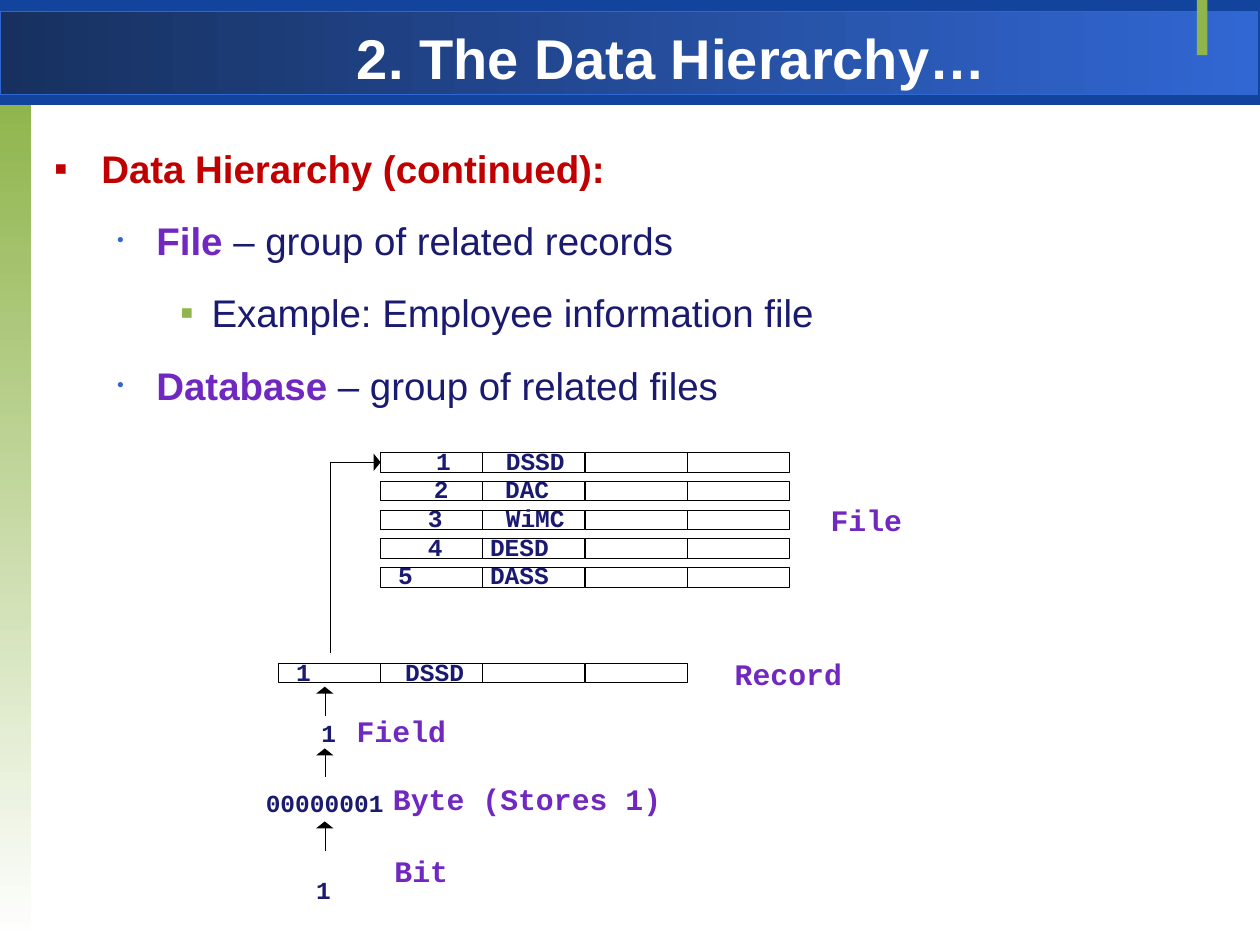
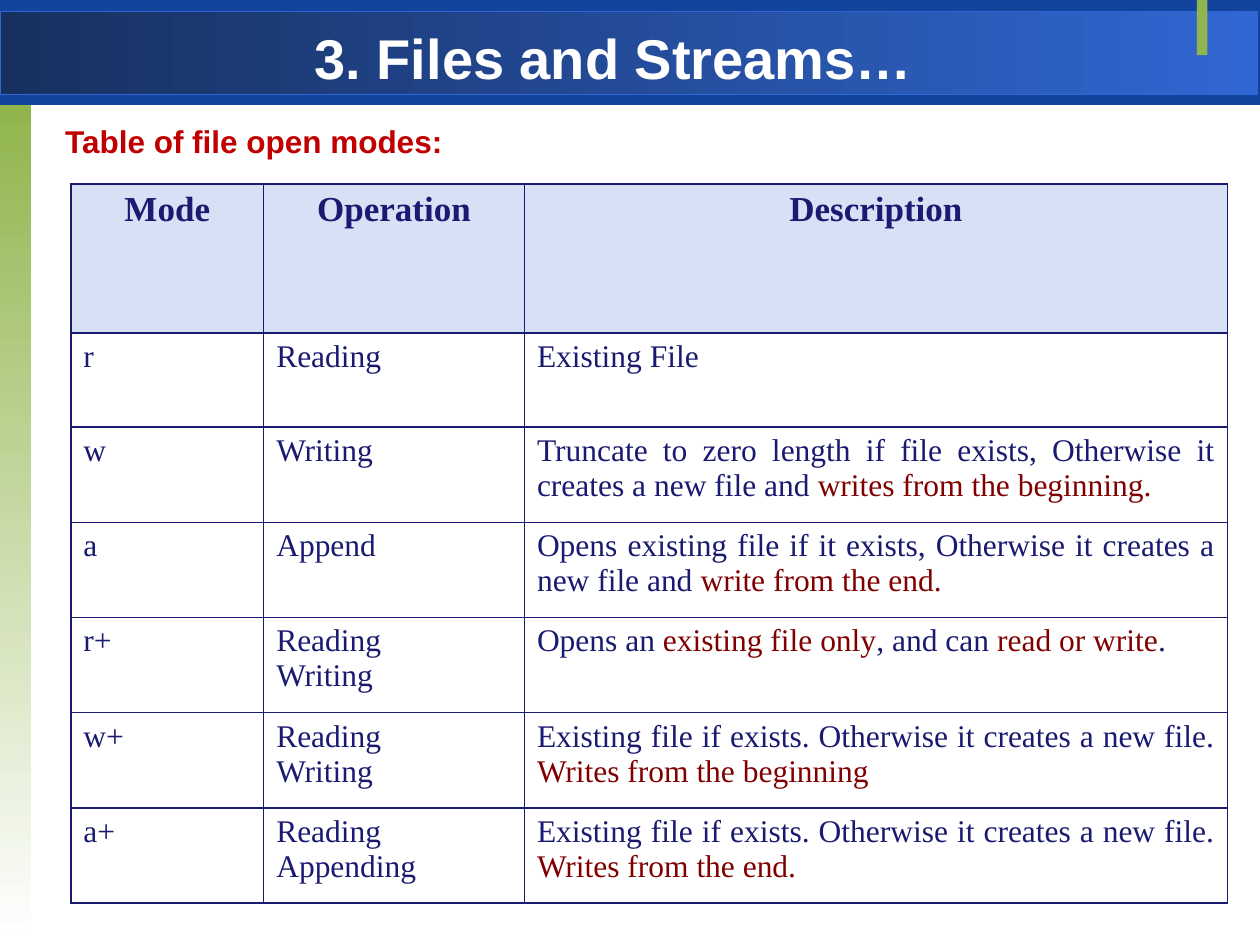
"""Build two lecture slides: the data hierarchy diagram and the file open modes table."""
from dataclasses import dataclass, replace
from typing import Any, NamedTuple

from lxml import etree
from pptx import Presentation
from pptx.dml.color import RGBColor
from pptx.enum.shapes import MSO_CONNECTOR, MSO_SHAPE
from pptx.enum.text import MSO_ANCHOR, PP_ALIGN
from pptx.oxml.ns import qn
from pptx.util import Pt

RECT, STRAIGHT = MSO_SHAPE.RECTANGLE, MSO_CONNECTOR.STRAIGHT
LEFT, CENTER, JUSTIFY = PP_ALIGN.LEFT, PP_ALIGN.CENTER, PP_ALIGN.JUSTIFY
TOP = MSO_ANCHOR.TOP
NAVY, PURPLE, RED, MAROON = "1A1A70", "7028C0", "C00000", "800000"
BLUE, GREEN, WHITE, BLACK = "3167D3", "90B54D", "FFFFFF", "000000"
BAND, BAND_DARK, HEADER_FILL = "12449E", "17305F", "D6E1F6"


@dataclass(frozen=True)
class Style:
    """Character format of a run."""
    name: str
    size: float
    color: str
    bold: bool = True


class Box(NamedTuple):
    """Left, top, width and height in points."""
    x: float
    y: float
    w: float
    h: float


class Run(NamedTuple):
    """Text with its style."""
    text: str
    style: Style


class Band(NamedTuple):
    """Decoration rectangle; two colours make a gradient."""
    box: Box
    colors: tuple[str, ...]
    angle: float = 0
    line: str | None = None


class Bullet(NamedTuple):
    """Bullet paragraph of the outline."""
    level: int
    runs: list[Run]


class Level(NamedTuple):
    """Indents and bullet of an outline level."""
    margin: float
    hang: float
    char: str
    color: str
    percent: int


class Label(NamedTuple):
    """One-line text in the diagram."""
    text: str
    box: Box
    style: Style
    align: Any = LEFT


TITLE = Style("Arial", 32, WHITE)
HEADING = Style("Arial", 22, RED)
TERM = replace(HEADING, color=PURPLE)
BODY = replace(HEADING, color=NAVY, bold=False)
CAPTION = replace(HEADING, size=18)
DATA = Style("Courier New", 14, NAVY)
NAME = Style("Courier New", 17, PURPLE)
HEAD = Style("Times New Roman", 20, NAVY)
CELL = Style("Times New Roman", 18, NAVY, False)
MARK = replace(CELL, color=MAROON)

BANDS = [
    Band(Box(0, 0, 720, 60), (BAND,)),
    Band(Box(0, 6.5, 718.5, 47.5), (BAND_DARK, BLUE), 0, BLUE),
    Band(Box(0, 60, 18, 478), (GREEN, WHITE), 270),
    Band(Box(684, 0, 6, 31.5), (GREEN,)),
]
LEVELS = [
    Level(27, 27, "▪", RED, 100),
    Level(58.5, 22.5, "•", BLUE, 50),
    Level(90, 18, "▪", GREEN, 100),
]
OUTLINE = [
    Bullet(0, [Run("Data Hierarchy (continued):", HEADING)]),
    Bullet(1, [Run("File", TERM), Run(" – group of related records", BODY)]),
    Bullet(2, [Run("Example: Employee information file", BODY)]),
    Bullet(1, [Run("Database ", TERM), Run("– group of related files", BODY)]),
]

FIELD_W, FIELD_H, FIELDS, ROW_STEP, TEXT_H = 58.32, 11.2, 4, 16.4, 13
FILE_X, FILE_Y = 217.5, 258.5
RECORD_X, RECORD_Y = FILE_X - FIELD_W, 378.7
NUMBER_X, CODE_X, ARROW_X, ELBOW_X = 227.5, 280, 185.6, 188.6
RECORDS = [
    (("1", 51.8, CENTER), ("DSSD", 51.8, CENTER)),
    (("2", 49.2, CENTER), ("DAC", 42.5, CENTER)),
    (("3", 42.5, CENTER), ("WiMC", 51.8, CENTER)),
    (("4", 42.5, CENTER), ("DESD", 62, LEFT)),
    (("5", 51.8, LEFT), ("DASS", 51.8, LEFT)),
]
LABELS = [
    Label("1", Box(169.2, 378.7, 42.5, TEXT_H), DATA),
    Label("DSSD", Box(222.5, 378.7, 51.8, TEXT_H), DATA, CENTER),
    Label("1", Box(183.6, 413.3, 46, TEXT_H), DATA),
    Label("00000001", Box(151.9, 453.6, 81.4, TEXT_H), DATA),
    Label("1", Box(180.7, 503.3, 13, TEXT_H), DATA),
    Label("File", Box(473.8, 290.9, 42.5, TEXT_H), NAME, CENTER),
    Label("Record", Box(419.8, 378.7, 62, TEXT_H), NAME),
    Label("Field", Box(203.8, 411.1, 52, TEXT_H), NAME),
    Label("Byte (Stores 1)", Box(224.6, 450, 272, 20), NAME),
    Label("Bit", Box(225.4, 491, 32.4, TEXT_H), NAME),
]
ARROW_TOPS, ARROW_LENGTH = (392.4, 427.7, 469.4), 16.6

COLUMNS = (110.2, 149, 401.8)
ROW_HEIGHTS = (85.3, 53.7) + (54.4,) * 5
NEW_FILE = Run("Existing file if exists. Otherwise it creates a new file. ", CELL)
MODES = [
    ("r", "Reading", [Run("Existing File", CELL)]),
    ("w", "Writing", [
        Run("Truncate to zero length if file exists, Otherwise it creates a new file and ", CELL),
        Run("writes from the beginning.", MARK)]),
    ("a", "Append", [
        Run("Opens existing file if it exists, Otherwise it creates a new file and ", CELL),
        Run("write from the end.", MARK)]),
    ("r+", "Reading\nWriting", [
        Run("Opens an ", CELL), Run("existing file only", MARK), Run(", and can ", CELL),
        Run("read or write", MARK), Run(".", CELL)]),
    ("w+", "Reading\nWriting", [NEW_FILE, Run("Writes from the beginning", MARK)]),
    ("a+", "Reading\nAppending", [NEW_FILE, Run("Writes from the end.", MARK)]),
]


def rgb(color: str) -> RGBColor:
    """Turn a hex string into a colour."""
    return RGBColor.from_string(color)


def set_attrs(obj: Any, values: dict[str, Any]) -> None:
    """Set each named attribute."""
    for key, value in values.items():
        setattr(obj, key, value)


def pts(values: tuple[float, ...]) -> list[Pt]:
    """Convert numbers to point lengths."""
    return [Pt(v) for v in values]


def sub(parent: Any, tag: str, **attrs: Any) -> Any:
    """Append a DrawingML element."""
    return etree.SubElement(parent, qn(tag), {k: str(v) for k, v in attrs.items()})


def write(p: Any, runs: list[Run], **formats: Any) -> None:
    """Fill a paragraph with styled runs."""
    set_attrs(p, formats)
    for text, style in runs:
        r = p.add_run()
        r.text = text
        set_attrs(r.font, {"name": style.name, "size": Pt(style.size), "bold": style.bold})
        r.font.color.rgb = rgb(style.color)


def add_text(s: Any, box: Box, insets: tuple[float, float] = (7.2, 3.6)) -> Any:
    """Add a wrapping text box and return its frame."""
    tf = s.shapes.add_textbox(*pts(box)).text_frame
    side, top = pts(insets)
    set_attrs(tf, {"word_wrap": True, "vertical_anchor": TOP, "margin_left": side,
                   "margin_right": side, "margin_top": top, "margin_bottom": min(top, Pt(3.6))})
    return tf


def add_band(s: Any, band: Band) -> None:
    """Draw a solid or gradient rectangle."""
    sp = s.shapes.add_shape(RECT, *pts(band.box))
    sp.shadow.inherit = False
    if len(band.colors) == 1:
        sp.fill.solid()
        sp.fill.fore_color.rgb = rgb(band.colors[0])
    else:
        sp.fill.gradient()
        sp.fill.gradient_angle = band.angle
        for stop, color in zip(sp.fill.gradient_stops, band.colors):
            stop.color.rgb = rgb(color)
    if band.line:
        outline(sp, band.line, 0.75)
    else:
        sp.line.fill.background()


def outline(sp: Any, color: str = BLACK, width: float = 0.25) -> None:
    """Set the line of a shape."""
    sp.line.color.rgb = rgb(color)
    sp.line.width = Pt(width)


def add_slide(prs: Any, title: str, box: Box) -> Any:
    """Add a slide with the shared bands and title."""
    s = prs.slides.add_slide(prs.slide_layouts[6])
    for band in BANDS:
        add_band(s, band)
    write(add_text(s, box, (7.2, 7.6)).paragraphs[0], [Run(title, TITLE)], alignment=CENTER)
    return s


def add_outline(s: Any, box: Box) -> None:
    """Add the bullet list."""
    tf = add_text(s, box)
    for i, item in enumerate(OUTLINE):
        p = tf.add_paragraph() if i else tf.paragraphs[0]
        write(p, item.runs, level=item.level, line_spacing=1.5, space_before=Pt(1.7))
        level = LEVELS[item.level]
        pr = p._p.get_or_add_pPr()
        pr.set("marL", str(Pt(level.margin)))
        pr.set("indent", str(-Pt(level.hang)))
        sub(sub(pr, "a:buClr"), "a:srgbClr", val=level.color)
        sub(pr, "a:buSzPct", val=level.percent * 1000)
        sub(pr, "a:buFont", typeface="Arial")
        sub(pr, "a:buChar", char=level.char)


def add_label(s: Any, label: Label) -> None:
    """Add a tight diagram text."""
    p = add_text(s, label.box, (0, 0)).paragraphs[0]
    write(p, [Run(label.text, label.style)], alignment=label.align, line_spacing=0.8)


def add_fields(s: Any, x: float, y: float) -> None:
    """Draw one record as a row of fields."""
    for i in range(FIELDS):
        sp = s.shapes.add_shape(RECT, *pts((x + i * FIELD_W, y, FIELD_W, FIELD_H)))
        sp.shadow.inherit = False
        sp.fill.background()
        outline(sp)


def add_arrow_start(sp: Any) -> None:
    """Give a line its thin stroke and a triangle at its start."""
    outline(sp)
    sub(sp.line._get_or_add_ln(), "a:headEnd", type="triangle", w="lg", len="sm")


def add_diagram(s: Any) -> None:
    """Draw the file, the record and the steps down to the bit."""
    for i, (number, code) in enumerate(RECORDS):
        y = FILE_Y + i * ROW_STEP
        add_fields(s, FILE_X, y)
        for x, (text, width, align) in ((NUMBER_X, number), (CODE_X, code)):
            add_label(s, Label(text, Box(x, y - 0.7, width, TEXT_H), DATA, align))
    add_fields(s, RECORD_X, RECORD_Y)
    for label in LABELS:
        add_label(s, label)
    for y in ARROW_TOPS:
        sp = s.shapes.add_connector(STRAIGHT, *pts((ARROW_X, y, ARROW_X, y + ARROW_LENGTH)))
        add_arrow_start(sp)
        sub(sp._element.spPr, "a:effectLst")
    fb = s.shapes.build_freeform(Pt(FILE_X), Pt(264.2))
    fb.add_line_segments([pts((ELBOW_X, 264.2)), pts((ELBOW_X, 373))], close=False)
    sp = fb.convert_to_shape()
    sp.shadow.inherit = False
    sp.fill.background()
    add_arrow_start(sp)


def fill_cell(cell: Any, lines: list[list[Run]], align: Any, fill: str | None = None) -> None:
    """Write a cell and set its borders and fill."""
    for i, runs in enumerate(lines):
        p = cell.text_frame.add_paragraph() if i else cell.text_frame.paragraphs[0]
        write(p, runs, alignment=align)
    pr = cell._tc.get_or_add_tcPr()
    for side in "LRTB":
        ln = sub(pr, f"a:ln{side}", w=Pt(1))
        sub(sub(ln, "a:solidFill"), "a:srgbClr", val=NAVY)
    if fill:
        cell.fill.solid()
        cell.fill.fore_color.rgb = rgb(fill)
    else:
        cell.fill.background()


def add_modes(s: Any, x: float, y: float) -> None:
    """Add the table of file open modes."""
    box = Box(x, y, sum(COLUMNS), sum(ROW_HEIGHTS))
    tbl = s.shapes.add_table(len(ROW_HEIGHTS), len(COLUMNS), *pts(box)).table
    tbl.horz_banding = False
    for col, width in zip(tbl.columns, COLUMNS):
        col.width = Pt(width)
    for row, height in zip(tbl.rows, ROW_HEIGHTS):
        row.height = Pt(height)
    for j, text in enumerate(("Mode", "Operation", "Description")):
        fill_cell(tbl.cell(0, j), [[Run(text, HEAD)]], CENTER, HEADER_FILL)
    for i, (mode, operation, description) in enumerate(MODES, 1):
        for j, text in enumerate((mode, operation)):
            fill_cell(tbl.cell(i, j), [[Run(t, CELL)] for t in text.split("\n")], LEFT)
        fill_cell(tbl.cell(i, 2), [description], JUSTIFY)


def main() -> None:
    """Build and save the presentation."""
    prs = Presentation()
    set_attrs(prs, {"slide_width": Pt(720), "slide_height": Pt(540)})
    s = add_slide(prs, "2. The Data Hierarchy…", Box(113.8, 5.8, 540, 41.8))
    add_outline(s, Box(23.8, 66.2, 684, 396))
    add_diagram(s)
    s = add_slide(prs, "3. Files and Streams…", Box(23.8, 5.8, 653.8, 41.8))
    p = add_text(s, Box(30.2, 66.2, 663, 425.5)).paragraphs[0]
    write(p, [Run("Table of file open modes:", CAPTION)], space_before=Pt(1.4))
    add_modes(s, 40.5, 105.1)
    prs.save("out.pptx")


if __name__ == "__main__":
    main()
